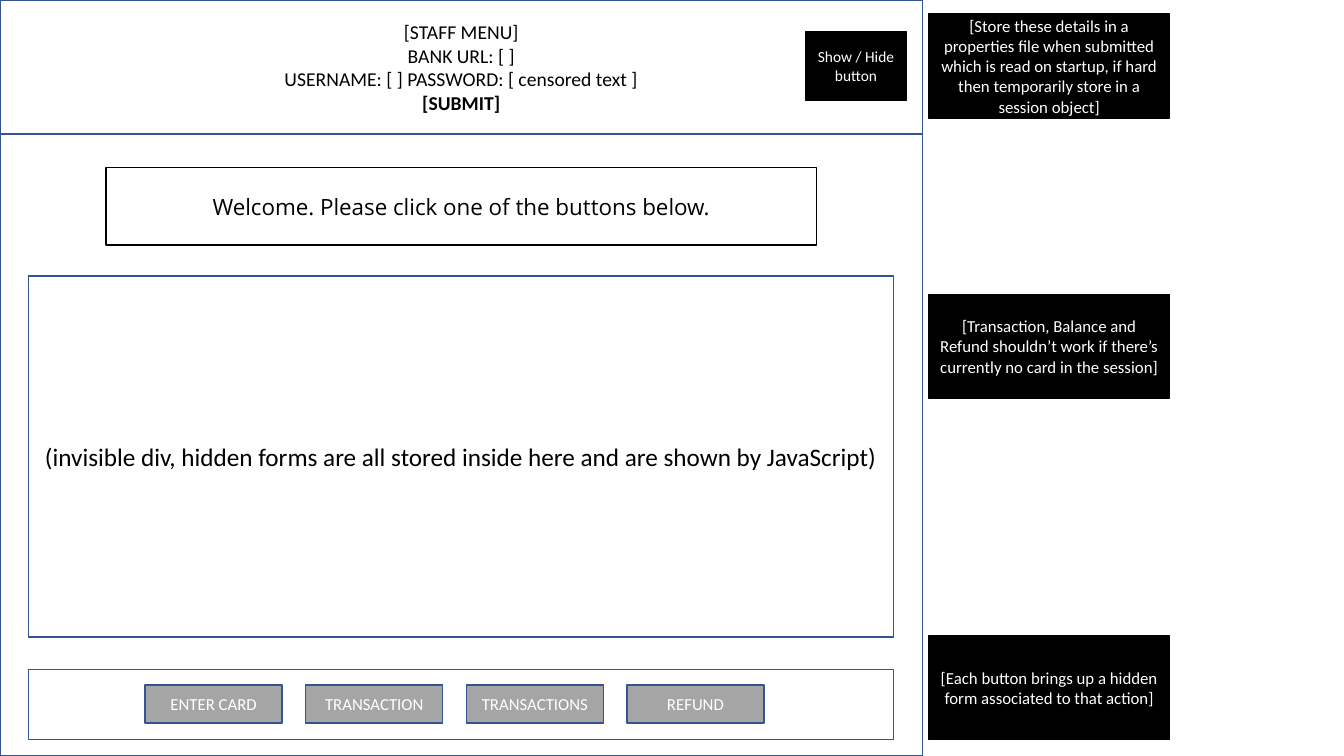
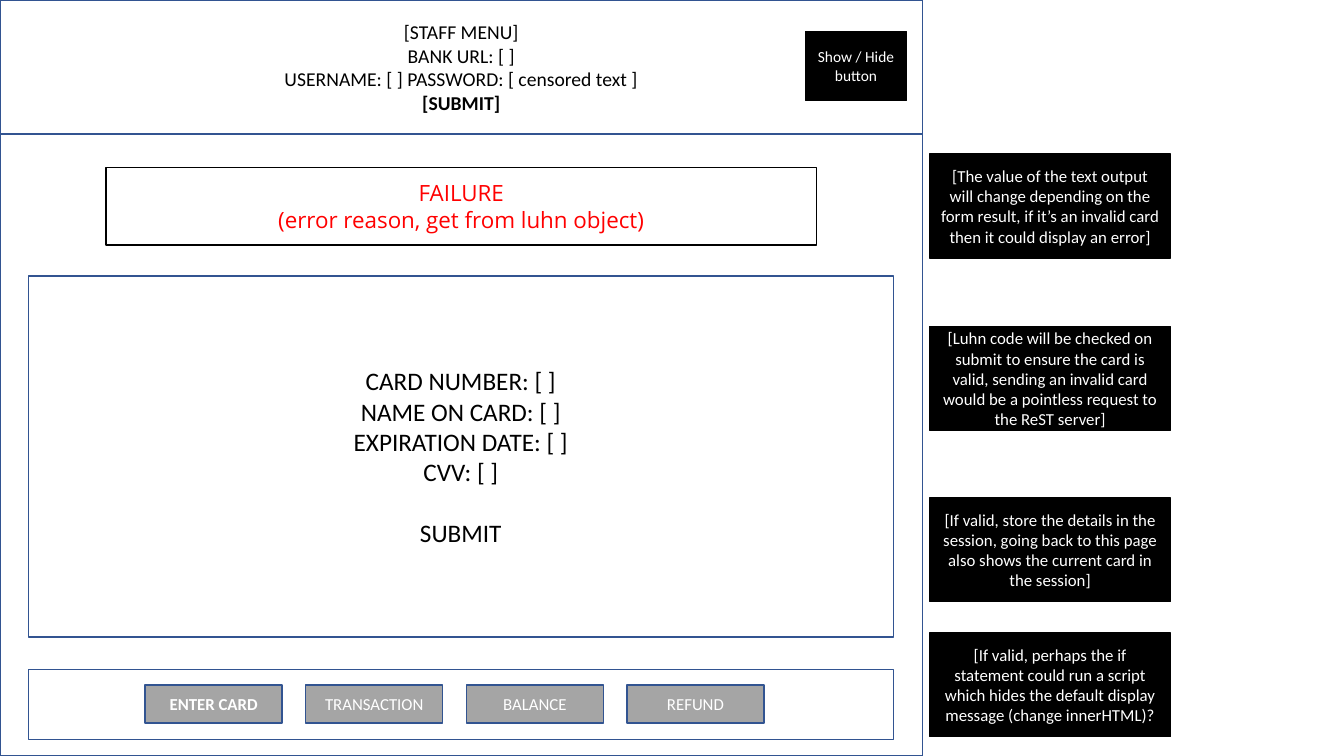
import pptx
import pptx.util
import pptx.dml.color
import pptx.enum.shapes
import pptx.enum.text


def color(hex_value):
    return pptx.dml.color.RGBColor.from_string(hex_value)


class Wireframe:
    WHITE, BLACK, BLUE, GRAY, RED = "FFFFFF", "000000", "325491", "A5A5A5", "FF0000"
    PAGE_WIDTH, HEADER_HEIGHT = 68.64, 17.75
    PANEL_LEFT, PANEL_WIDTH = 2.1, 64.37
    BUTTON_LEFT, BUTTON_STEP = 10.8, 11.95

    def __init__(self):
        self.deck = pptx.Presentation()
        self.deck.slide_width = pptx.util.Inches(13.33)
        self.deck.slide_height = pptx.util.Inches(7.5)
        self.slide = None

    def box(self, left, top, width, height, text="", fill=WHITE, line=BLUE,
            size=12, ink=BLACK, font="Calibri"):
        across, down = self.deck.slide_width / 100, self.deck.slide_height / 100
        shape = self.slide.shapes.add_shape(
            pptx.enum.shapes.MSO_SHAPE.RECTANGLE,
            round(left * across), round(top * down),
            round(width * across), round(height * down))
        shape.shadow.inherit = False
        shape.fill.solid()
        shape.fill.fore_color.rgb = color(fill)
        shape.line.color.rgb = color(line)
        shape.line.width = pptx.util.Pt(1)
        frame = shape.text_frame
        frame.word_wrap = True
        frame.vertical_anchor = pptx.enum.text.MSO_ANCHOR.MIDDLE
        frame.text = text
        for paragraph in frame.paragraphs:
            paragraph.alignment = pptx.enum.text.PP_ALIGN.CENTER
            for run in paragraph.runs:
                run.font.size = pptx.util.Pt(size)
                run.font.name = font
                run.font.color.rgb = color(ink)
        return frame.paragraphs

    def black_box(self, left, top, width, height, text, size=12):
        self.box(left, top, width, height, text, self.BLACK, self.BLACK, size, self.WHITE)

    def page(self):
        self.slide = self.deck.slides.add_slide(self.deck.slide_layouts[6])
        staff_menu = self.box(
            0, 0, self.PAGE_WIDTH, self.HEADER_HEIGHT,
            "[STAFF MENU]\nBANK URL: [ ]\n"
            "USERNAME: [ ] PASSWORD: [ censored text ]\n[SUBMIT]", size=14)
        staff_menu[-1].runs[0].font.bold = True
        self.box(0, self.HEADER_HEIGHT, self.PAGE_WIDTH, 100 - self.HEADER_HEIGHT)
        self.black_box(59.94, 4.13, 7.5, 9.2, "Show / Hide button", 11)

    def message(self, text, ink=BLACK):
        self.box(7.88, 22.13, 52.89, 10.27, text,
                 line=self.BLACK, size=16, ink=ink, font="Open Sans")

    def form(self, text):
        return self.box(self.PANEL_LEFT, 36.53, self.PANEL_WIDTH, 47.73, text, size=18)

    def buttons(self, labels, active=None):
        self.box(self.PANEL_LEFT, 88.53, self.PANEL_WIDTH, 9.33)
        for index, label in enumerate(labels):
            button = self.box(self.BUTTON_LEFT + index * self.BUTTON_STEP, 90.6, 10.2, 5.07,
                              label, self.GRAY, ink=self.WHITE)
            button[0].runs[0].font.bold = label == active

    def notes(self, left, entries):
        for top, text in entries:
            self.black_box(left, top, 17.93, 13.73, text)


wireframe = Wireframe()

wireframe.page()
wireframe.message("Welcome. Please click one of the buttons below.")
wireframe.form("(invisible div, hidden forms are all stored inside here and are shown by JavaScript)")
wireframe.buttons(["ENTER CARD", "TRANSACTION", "TRANSACTIONS", "REFUND"])
wireframe.notes(69.1, [
    (1.87, "[Store these details in a properties file when submitted which is read on startup, "
           "if hard then temporarily store in a session object]"),
    (38.93, "[Transaction, Balance and Refund shouldn’t work if there’s currently no card "
            "in the session]"),
    (84.13, "[Each button brings up a hidden form associated to that action]"),
])

wireframe.page()
wireframe.message("FAILURE\n(error reason, get from luhn object)", wireframe.RED)
card_form = wireframe.form(
    "CARD NUMBER: [ ]\nNAME ON CARD: [ ]\nEXPIRATION DATE: [ ]\nCVV: [ ]\nSUBMIT")
card_form[-1].space_before = pptx.util.Pt(22)
wireframe.buttons(["ENTER CARD", "TRANSACTION", "BALANCE", "REFUND"], active="ENTER CARD")
wireframe.notes(69.17, [
    (20.4, "[The value of the text output will change depending on the form result, "
           "if it’s an invalid card then it could display an error]"),
    (43.2, "[Luhn code will be checked on submit to ensure the card is valid, sending an "
           "invalid card would be a pointless request to the ReST server]"),
    (65.87, "[If valid, store the details in the session, going back to this page also shows "
            "the current card in the session]"),
    (83.73, "[If valid, perhaps the if statement could run a script which hides the default "
            "display message (change innerHTML)?"),
])

wireframe.deck.save("out.pptx")
